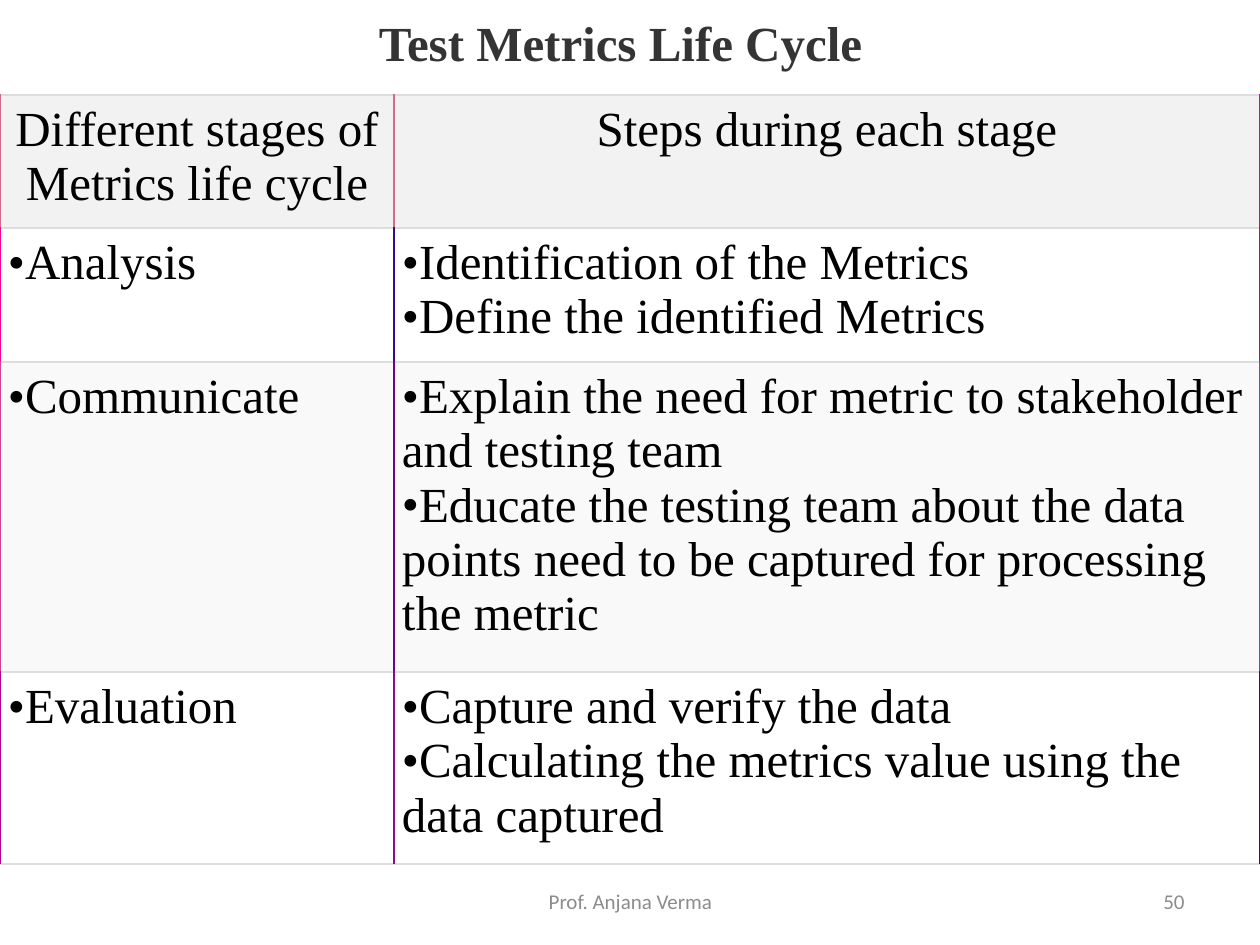
from lxml import etree
from pptx import Presentation
from pptx import util as u
from pptx.dml.color import RGBColor
from pptx.enum import text
from pptx.oxml import ns

PX = u.Inches(1) / 126
COLORS = {"paper": "FFFFFF", "title": "343434", "ink": "000000", "footer": "8C8C8C",
          "header": "F2F2F2", "band": "F9F9F9", "rule": "DDDDDD"}
SERIF, SANS = "Times New Roman", "Calibri"
COLUMN_WIDTHS = (394, 866)
HEADINGS = ("Different stages of Metrics life cycle", "Steps during each stage")
STAGES = (
    ("Analysis", ("Identification of the Metrics", "Define the identified Metrics")),
    ("Communicate", ("Explain the need for metric to stakeholder and testing team",
                     "Educate the testing team about the data points need to be "
                     "captured for processing the metric")),
    ("Evaluation", ("Capture and verify the data",
                    "Calculating the metrics value using the data captured")),
)
ROW_HEIGHTS = (133, 134, 310, 192)
ROW_FILLS = ("header", "paper", "band", "paper")
SIDE_RULES = (
    (("D06B8A", 0.75), ("D06B8A", 0.75), ("E00292", 1)),
    (("F00892", 1), ("300C92", 1), ("B00C92", 1)),
    (("D04292", 1), ("700292", 1), ("904392", 1)),
    (("B00592", 1), ("900792", 1), ("400692", 1)),
)


def emu(px):
    """Turn a length in px into EMU."""
    return u.Emu(round(px * PX))


def style(paragraph, face, size, color, align, bold=False):
    """Set the alignment and font of a paragraph."""
    paragraph.alignment = align
    font = paragraph.font
    font.name, font.size, font.bold = face, u.Pt(size), bold
    font.color.rgb = RGBColor.from_string(COLORS[color])


def add_bullet(paragraph):
    """Put a bullet directly before a paragraph, without an indent."""
    properties = paragraph._p.get_or_add_pPr()
    properties.set("marL", "0")
    properties.set("indent", "0")
    etree.SubElement(properties, ns.qn("a:buFont")).set("typeface", SERIF)
    etree.SubElement(properties, ns.qn("a:buChar")).set("char", "•")


def rule_cell(cell, left, right):
    """Draw the four borders of a cell, with grey rules above and below."""
    grey = (COLORS["rule"], 0.75)
    properties = cell._tc.get_or_add_tcPr()
    for side, (color, width) in zip("LRTB", (left, right, grey, grey)):
        line = etree.SubElement(properties, ns.qn(f"a:ln{side}"), w=str(u.Pt(width)))
        fill = etree.SubElement(line, ns.qn("a:solidFill"))
        etree.SubElement(fill, ns.qn("a:srgbClr"), val=color)


def fill_cell(cell, lines, fill, is_heading):
    """Write the lines of one cell and colour it."""
    cell.fill.solid()
    cell.fill.fore_color.rgb = RGBColor.from_string(COLORS[fill])
    cell.margin_left = cell.margin_right = cell.margin_top = cell.margin_bottom = emu(8)
    cell.text = "\n".join(lines)
    for paragraph in cell.text_frame.paragraphs:
        if not is_heading:
            add_bullet(paragraph)
        align = text.PP_ALIGN.CENTER if is_heading else text.PP_ALIGN.LEFT
        style(paragraph, SERIF, 28, "ink", align)


def place_title(slide, left, top, width, height):
    """Place the slide title."""
    title = slide.shapes.title
    title.left, title.top, title.width, title.height = map(emu, (left, top, width, height))
    title.fill.solid()
    title.fill.fore_color.rgb = RGBColor.from_string(COLORS["paper"])
    title.text_frame.text = "Test Metrics Life Cycle"
    style(title.text_frame.paragraphs[0], SERIF, 28, "title", text.PP_ALIGN.CENTER, True)


def place_stages(slide, left, top, width, height):
    """Place the table of life cycle stages."""
    rows = [[[heading] for heading in HEADINGS]]
    rows += [[[stage], steps] for stage, steps in STAGES]
    stages = slide.shapes.add_table(len(rows), len(HEADINGS),
                                    *map(emu, (left, top, width, height))).table
    stages.first_row = stages.horz_banding = False
    for column, column_width in zip(stages.columns, COLUMN_WIDTHS):
        column.width = emu(column_width)
    for r, row in enumerate(rows):
        stages.rows[r].height = emu(ROW_HEIGHTS[r])
        for c, lines in enumerate(row):
            cell = stages.cell(r, c)
            rule_cell(cell, *SIDE_RULES[r][c:c + 2])
            fill_cell(cell, lines, ROW_FILLS[r], r == 0)


def place_footer(slide, left, top, width, height):
    """Place the author's name and the page number in the footer band."""
    center, right = text.PP_ALIGN.CENTER, text.PP_ALIGN.RIGHT
    for words, offset, part_width, align in (("Prof. Anjana Verma", 0, 399, center),
                                             ("50", width - 294, 294, right)):
        box = slide.shapes.add_textbox(emu(left + offset), emu(top),
                                       emu(part_width), emu(height))
        frame = box.text_frame
        frame.word_wrap = True
        frame.vertical_anchor = text.MSO_ANCHOR.MIDDLE
        frame.text = words
        style(frame.paragraphs[0], SANS, 12, "footer", align)


def main():
    """Build and save the slide."""
    deck = Presentation()
    deck.slide_width, deck.slide_height = emu(1260), emu(945)
    slide = deck.slides.add_slide(deck.slide_layouts[5])
    place_stages(slide, 0, 95, sum(COLUMN_WIDTHS), sum(ROW_HEIGHTS))
    place_title(slide, 276, 6, 689, 72)
    place_footer(slide, 431, 876, 766, 50)
    deck.save("out.pptx")


if __name__ == "__main__":
    main()
